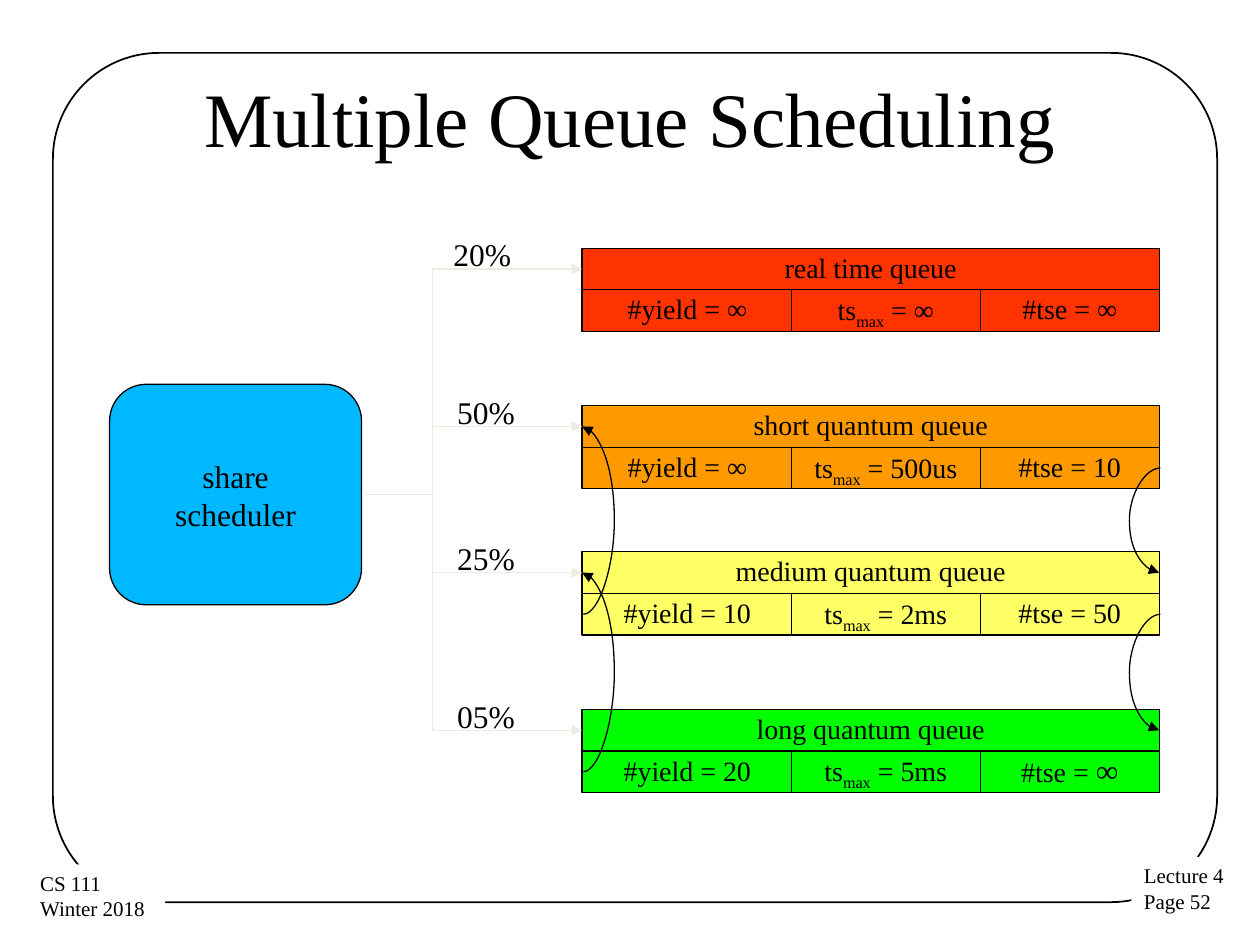
from lxml import etree
from pptx import Presentation, util as u
from pptx.dml.color import RGBColor
from pptx.enum import shapes, text
from pptx.oxml.ns import qn

Inches = u.Inches
COLORS = {"ink": "000000", "paper": "FFFFFF", "share": "00B8FF", "branch": "EEECE1",
          "real": "FF3300", "short": "FF9900", "medium": "FFFF66", "long": "00FF00"}
FONT = "Times New Roman"
LEFT, RIGHT = 1, 3
ROW = 0.33
QUEUES = [
    ("real time queue", "real", 1.97, "∞", "∞", "∞", 16, "20%", 3.5),
    ("short quantum queue", "short", 3.22, "∞", "500us", "10", 16, "50%", 3.53),
    ("medium quantum queue", "medium", 4.38, "10", "2ms", "50", 16, "25%", 3.53),
    ("long quantum queue", "long", 5.63, "20", "5ms", "∞", 18, "05%", 3.53),
]


def color(name):
    """Return the named colour."""
    return RGBColor.from_string(COLORS[name])


def set_all(target, values):
    """Set each attribute in a dict of format values."""
    for name, value in values.items():
        setattr(target, name, value)


def write(shape, lines, size, align=None, spacing=None, **frame):
    """Fill a shape with lines, each a list of (text, size, baseline) spans."""
    set_all(shape.text_frame, {"word_wrap": False, **frame})
    for index, line in enumerate(lines):
        body = shape.text_frame
        para = body.add_paragraph() if index else body.paragraphs[0]
        set_all(para, {"alignment": align, "line_spacing": spacing})
        for words, span_size, baseline in [(line, size, 0)] if isinstance(line, str) else line:
            span = para.add_run()
            span.text = words
            set_all(span.font, {"name": FONT, "size": u.Pt(span_size)})
            span.font.color.rgb = color("ink")
            if baseline:
                span._r.get_or_add_rPr().set("baseline", str(baseline))


def add_box(page, kind, box, fill=None, line=0.75):
    """Add a preset shape in a box given in inches."""
    shape = page.shapes.add_shape(kind, *map(Inches, box))
    shape.shadow.inherit = False
    if fill:
        shape.fill.solid()
        shape.fill.fore_color.rgb = color(fill)
    else:
        shape.fill.background()
    if line:
        shape.line.color.rgb = color("ink")
        shape.line.width = u.Pt(line)
    else:
        shape.line.fill.background()
    return shape


def add_arrow(page, kind, start, end, ink, bend, thin=False):
    """Join the right or left sites of two shapes with an arrow."""
    arrow = page.shapes.add_connector(kind, 0, 0, 0, 0)
    arrow.begin_connect(*start)
    arrow.end_connect(*end)
    if thin:
        arrow.width = Inches(0.01)
    arrow.line.color.rgb = color(ink)
    arrow.line.width = u.Pt(0.75)
    etree.SubElement(arrow.line._get_or_add_ln(), qn("a:tailEnd"), type="triangle")
    props = arrow._element.spPr
    etree.SubElement(props, qn("a:effectLst"))
    guides = props.find(qn("a:prstGeom")).get_or_add_avLst()
    etree.SubElement(guides, qn("a:gd"), name="adj1", fmla=f"val {round(bend * 100000)}")


def add_frame(page):
    """Draw the rounded page border and its two corner labels."""
    border = add_box(page, shapes.MSO_SHAPE.ROUNDED_RECTANGLE, (0.42, 0.42, 9.24, 6.74), line=1)
    border.adjustments[0] = 0.125
    for lines, box in ((("Lecture 4", "Page 52"), (8.98, 6.8, 0.85, 0.51)),
                       (("CS 111", "Winter 2018 "), (0.22, 6.86, 1.09, 0.51))):
        label = add_box(page, shapes.MSO_SHAPE.RECTANGLE, box, "paper", 0)
        write(label, lines, 12, text.PP_ALIGN.LEFT, vertical_anchor=text.MSO_ANCHOR.TOP)


def add_title(page, words):
    """Place and format the title placeholder."""
    title = page.shapes.title
    set_all(title, dict(zip(("left", "top", "width", "height"), map(Inches, (0.5, 0.3, 9, 1.25)))))
    write(title, [words], 44, text.PP_ALIGN.CENTER, word_wrap=True,
          vertical_anchor=text.MSO_ANCHOR.MIDDLE)


def add_queue(page, left, top, fill, name, limits, tse_size):
    """Draw a queue as a header over three cells; return header, first and last cell."""
    yields, slice_max, tse = limits
    cells = [
        (0, 0, 4.58, name),
        (0, ROW, 1.67, f"#yield = {yields}"),
        (1.66, ROW, 1.5, [("ts", 16, 0), ("max", 16, -25000), (f" = {slice_max}", 16, 0)]),
        (3.16, ROW, 1.42, [("#tse = ", 16, 0), (tse, tse_size, 0)]),
    ]
    parts = []
    for dx, dy, width, words in cells:
        cell = add_box(page, shapes.MSO_SHAPE.RECTANGLE, (left + dx, top + dy, width, ROW), fill)
        write(cell, [words], 16, text.PP_ALIGN.CENTER, 0.93,
              vertical_anchor=text.MSO_ANCHOR.MIDDLE)
        parts.append(cell)
    return parts[0], parts[1], parts[3]


def add_share(page, left, top, label):
    """Write the share of one queue above its branch."""
    share = page.shapes.add_textbox(*map(Inches, (left, top, 0.66, 0.4)))
    write(share, [label], 18, auto_size=text.MSO_AUTO_SIZE.SHAPE_TO_FIT_TEXT)


def add_scheduler(page, box):
    """Draw the share scheduler."""
    scheduler = add_box(page, shapes.MSO_SHAPE.FLOWCHART_ALTERNATE_PROCESS, box, "share")
    write(scheduler, ["share", "scheduler"], 18, text.PP_ALIGN.CENTER,
          vertical_anchor=text.MSO_ANCHOR.MIDDLE)
    return scheduler


def add_diagram(page):
    """Draw the queues, the scheduler and the arrows between them."""
    queues = [add_queue(page, 4.62, top, fill, name, limits, size)
              for name, fill, top, *limits, size, _, _ in QUEUES]
    scheduler = add_scheduler(page, (0.87, 3.05, 2, 1.75))
    for header, _, _ in queues:
        add_arrow(page, shapes.MSO_CONNECTOR.ELBOW, (scheduler, RIGHT), (header, LEFT),
                  "branch", 0.32)
    for _, _, top, *_, label, left in QUEUES:
        add_share(page, left, top - 0.15, label)
    for upper, lower in zip(queues[1:], queues[2:]):
        add_arrow(page, shapes.MSO_CONNECTOR.CURVE, (upper[2], RIGHT), (lower[0], RIGHT),
                  "ink", 25, True)
        add_arrow(page, shapes.MSO_CONNECTOR.CURVE, (lower[1], LEFT), (upper[0], LEFT),
                  "ink", -25, True)


deck = Presentation()
set_all(deck, {"slide_width": Inches(10), "slide_height": Inches(7.5)})
page = deck.slides.add_slide(deck.slide_layouts[5])
add_frame(page)
add_title(page, "Multiple Queue Scheduling")
add_diagram(page)
deck.save("out.pptx")
